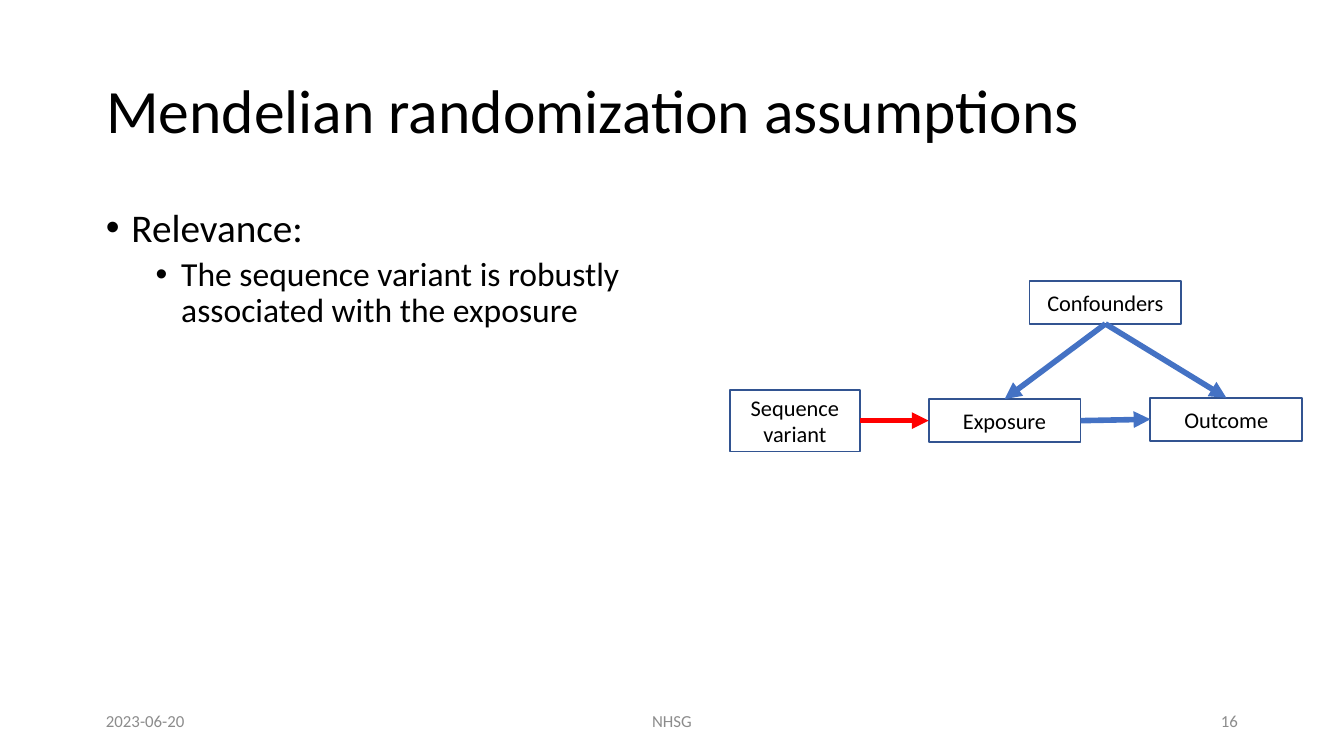
import pptx
import pptx.dml.color
import pptx.enum.shapes
import pptx.enum.text
import pptx.oxml
import pptx.oxml.ns
import pptx.util

ALIGN = pptx.enum.text.PP_ALIGN
ANCHOR = pptx.enum.text.MSO_ANCHOR
TOP, LEFT, BOTTOM, RIGHT = range(4)
BLACK, GREY, WHITE = "000000", "8C8C8C", "FFFFFF"
BLUE, DARK_BLUE, RED = "4472C4", "325491", "FF0000"


def color(hex_string):
    return pptx.dml.color.RGBColor.from_string(hex_string)


def inches(*lengths):
    return [pptx.util.Inches(length) for length in lengths]


def append_element(parent, tag, **attributes):
    element = pptx.oxml.parse_xml(f"<{tag} {pptx.oxml.ns.nsdecls('a')}/>")
    for name, value in attributes.items():
        element.set(name, value)
    parent.append(element)


def set_frame(text_frame, anchor):
    text_frame.word_wrap = True
    text_frame.auto_size = pptx.enum.text.MSO_AUTO_SIZE.NONE
    text_frame.vertical_anchor = anchor
    text_frame.margin_left = text_frame.margin_right = pptx.util.Inches(0.1)
    text_frame.margin_top = text_frame.margin_bottom = pptx.util.Inches(0.05)


def format_paragraph(paragraph, size, hex_string=BLACK, alignment=ALIGN.LEFT):
    paragraph.alignment = alignment
    for run in paragraph.runs:
        run.font.name = "Calibri"
        run.font.size = pptx.util.Pt(size)
        run.font.color.rgb = color(hex_string)


def add_title(slide, left, top, width, height):
    title = slide.shapes.title
    title.left, title.top, title.width, title.height = inches(left, top, width, height)
    title.text_frame.text = "Mendelian randomization assumptions"
    set_frame(title.text_frame, ANCHOR.MIDDLE)
    paragraph = title.text_frame.paragraphs[0]
    paragraph.line_spacing = 0.9
    format_paragraph(paragraph, 33)


def add_bullets(slide, left, top, width, height):
    box = slide.shapes.add_textbox(*inches(left, top, width, height))
    set_frame(box.text_frame, ANCHOR.TOP)
    items = [
        ("Relevance:", 0, 21, 0.19, 0),
        ("The sequence variant is robustly associated with the exposure", 1, 18, 0.56, 3.8),
    ]
    box.text_frame.text = "\n".join(item[0] for item in items)
    for paragraph, (_, level, size, indent, space) in zip(box.text_frame.paragraphs, items):
        paragraph.level = level
        paragraph.line_spacing = 0.9
        paragraph.space_before = pptx.util.Pt(space)
        properties = paragraph._p.get_or_add_pPr()
        properties.set("marL", str(pptx.util.Inches(indent)))
        properties.set("indent", str(pptx.util.Inches(-0.19)))
        append_element(properties, "a:buFont", typeface="Arial")
        append_element(properties, "a:buChar", char="•")
        format_paragraph(paragraph, size)


def add_node(slide, text, left, top, width=1.13, height=0.32):
    node = slide.shapes.add_shape(
        pptx.enum.shapes.MSO_SHAPE.RECTANGLE, *inches(left, top, width, height)
    )
    node.shadow.inherit = False
    node.fill.solid()
    node.fill.fore_color.rgb = color(WHITE)
    node.line.color.rgb = color(DARK_BLUE)
    node.line.width = pptx.util.Pt(1)
    node.text_frame.text = text
    set_frame(node.text_frame, ANCHOR.MIDDLE)
    for paragraph in node.text_frame.paragraphs:
        format_paragraph(paragraph, 12, BLACK, ALIGN.CENTER)
    return node


def add_arrow(slide, start, start_side, end, end_side, hex_string=BLUE):
    arrow = slide.shapes.add_connector(pptx.enum.shapes.MSO_CONNECTOR.STRAIGHT, 0, 0, 0, 0)
    arrow.begin_connect(start, start_side)
    arrow.end_connect(end, end_side)
    arrow.line.color.rgb = color(hex_string)
    arrow.line.width = pptx.util.Pt(3)
    append_element(arrow.line._get_or_add_ln(), "a:tailEnd", type="triangle")
    append_element(arrow._element.spPr, "a:effectLst")


def add_causal_diagram(slide, left, top):
    variant = add_node(slide, "Sequence\nvariant", left, top + 0.81, 0.97, 0.46)
    exposure = add_node(slide, "Exposure", left + 1.48, top + 0.88)
    outcome = add_node(slide, "Outcome", left + 3.13, top + 0.87)
    confounders = add_node(slide, "Confounders", left + 2.23, top)
    add_arrow(slide, variant, RIGHT, exposure, LEFT, RED)
    add_arrow(slide, exposure, RIGHT, outcome, LEFT)
    add_arrow(slide, confounders, BOTTOM, exposure, TOP)
    add_arrow(slide, confounders, BOTTOM, outcome, TOP)


def add_footer(slide, left, top, width, height):
    side_width, center_width = 2.25, 3.38
    parts = [
        ("2023-06-20", left, side_width, ALIGN.LEFT),
        ("NHSG", left + (width - center_width) / 2, center_width, ALIGN.CENTER),
        ("16", left + width - side_width, side_width, ALIGN.RIGHT),
    ]
    for text, part_left, part_width, alignment in parts:
        box = slide.shapes.add_textbox(*inches(part_left, top, part_width, height))
        box.text_frame.text = text
        set_frame(box.text_frame, ANCHOR.MIDDLE)
        format_paragraph(box.text_frame.paragraphs[0], 9, GREY, alignment)


def main():
    presentation = pptx.Presentation()
    presentation.slide_width = pptx.util.Inches(10)
    presentation.slide_height = pptx.util.Inches(10 * 9 / 16)
    slide = presentation.slides.add_slide(presentation.slide_layouts[5])
    add_title(slide, 0.69, 0.3, 8.62, 1.09)
    add_bullets(slide, 0.69, 1.5, 4.8, 3.57)
    add_causal_diagram(slide, 5.43, 2.09)
    add_footer(slide, 0.69, 5.21, 8.62, 0.3)
    presentation.save("out.pptx")


if __name__ == "__main__":
    main()
